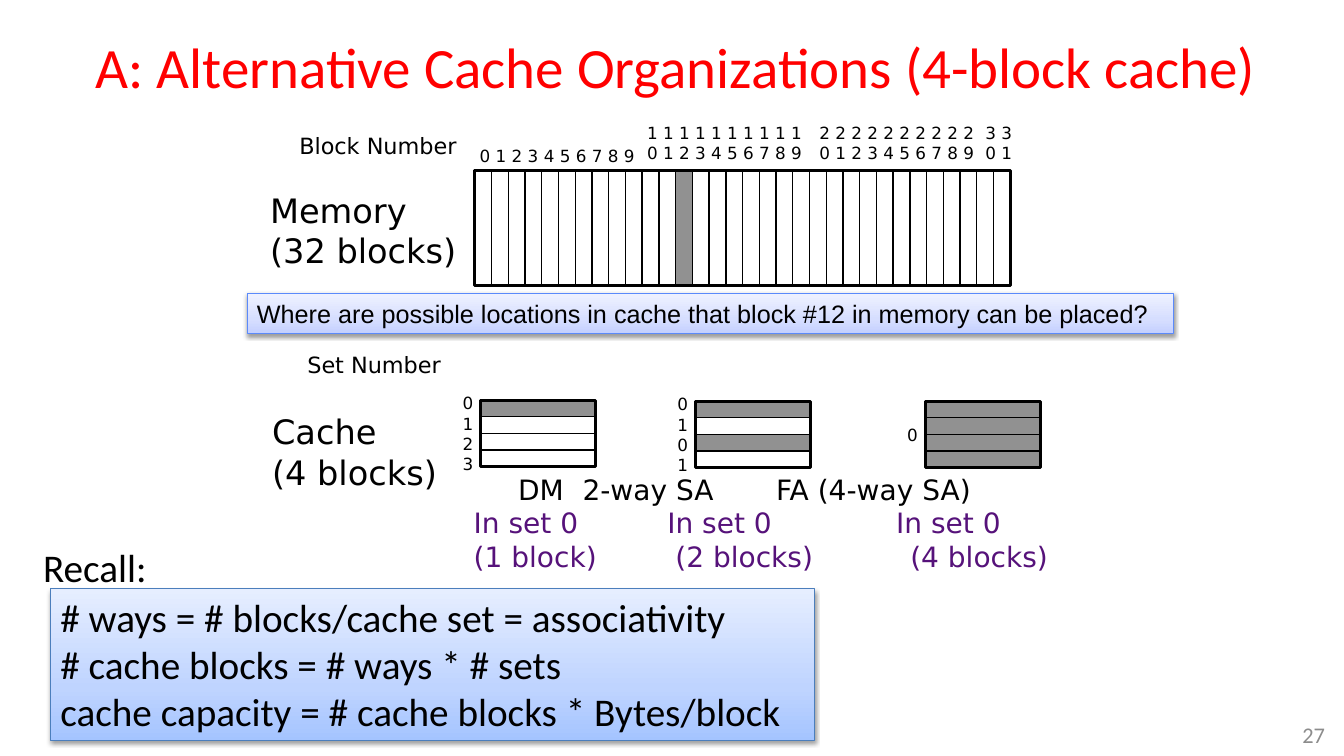
from dataclasses import dataclass

from lxml.etree import SubElement
from pptx import Presentation
from pptx.dml.color import RGBColor
from pptx.enum.shapes import MSO_CONNECTOR, MSO_SHAPE
from pptx.enum.text import MSO_ANCHOR, MSO_AUTO_SIZE, PP_ALIGN
from pptx.oxml.ns import qn
from pptx.shapes.autoshape import Shape
from pptx.slide import Slide
from pptx.text.text import TextFrame
from pptx.util import Inches, Pt

COLORS = {
    "title": "FF0000",
    "ink": "000000",
    "answer": "56127A",
    "candidate": "919191",
    "page": "8C8C8C",
    "question_line": "5B8AFB",
    "recall_line": "4B7EBC",
}
QUESTION_STOPS = ((0, "C4D0FF"), (35, "D6DEFF"), (100, "EFF2FF"))
RECALL_STOPS = ((0, "A4C4FF"), (35, "BFD4FF"), (100, "E6EEFF"))
DIAGRAM_FONT = "DejaVu Sans"


@dataclass(frozen=True)
class BlockGrid:
    left: float
    top: float
    width: float
    height: float
    blocks: int
    candidates: tuple[int, ...]
    columns: bool = False
    sets: str = ""


@dataclass(frozen=True)
class Label:
    box: tuple[float, float, float, float]
    lines: tuple[str, ...]
    size: float = 12
    align: PP_ALIGN = PP_ALIGN.LEFT
    wrap: bool = True
    color: str = "ink"
    font: str = DIAGRAM_FONT
    anchor: MSO_ANCHOR = MSO_ANCHOR.TOP


@dataclass(frozen=True)
class Caption:
    top: float
    text: str
    tabs: tuple[float, ...]
    color: str


@dataclass(frozen=True)
class Panel:
    box: tuple[float, float, float, float]
    lines: tuple[str, ...]
    stops: tuple[tuple[int, str], ...]
    outline: str
    size: float
    font: str


MEMORY = BlockGrid(4.71, 1.69, 5.31, 1.14, 32, (12,), columns=True)
CACHES = (
    BlockGrid(4.77, 3.97, 1.14, 0.66, 4, (0,), sets="0 1 2 3"),
    BlockGrid(6.9, 3.98, 1.14, 0.66, 4, (0, 2), sets="0 1 0 1"),
    BlockGrid(9.18, 3.98, 1.14, 0.66, 4, (0, 1, 2, 3), sets="0"),
)
LABELS = (
    Label((4.66, 1.4, 1.87, 0.3), ("0 1 2 3 4 5 6 7 8 9",)),
    Label((6.32, 1.17, 1.87, 0.5), ("1 1 1 1 1 1 1 1 1 1 0 1 2 3 4 5 6 7 8 9",)),
    Label((7.96, 1.17, 1.87, 0.5), ("2 2 2 2 2 2 2 2 2 2 0 1 2 3 4 5 6 7 8 9",),
          align=PP_ALIGN.CENTER),
    Label((9.46, 1.17, 0.89, 0.5), ("3 3", "0 1"), align=PP_ALIGN.CENTER),
    Label((2.87, 1.26, 1.78, 0.37), ("Block Number",), 16, wrap=False),
    Label((2.58, 1.83, 2.11, 0.91), ("Memory", "(32 blocks)"), 24, wrap=False),
    Label((2.95, 3.43, 1.55, 0.37), ("Set Number",), 16, wrap=False),
    Label((2.6, 4.03, 1.9, 0.91), ("Cache", "(4 blocks)"), 24, wrap=False),
    Label((0.33, 5.34, 1.24, 0.57), ("Recall:",), 28, wrap=False, font="Calibri"),
    Label((12.57, 7.08, 0.67, 0.42), ("27",), 16, PP_ALIGN.RIGHT,
          color="page", font="Calibri", anchor=MSO_ANCHOR.MIDDLE),
)
CAPTIONS = (
    Caption(4.64, "\tDM\t2-way SA\tFA (4-way SA)", (0.44, 1.08, 3.0), "ink"),
    Caption(4.97, "In set 0\tIn set 0\tIn set 0", (1.92, 4.19), "answer"),
    Caption(5.3, "(1 block)\t(2 blocks)\t(4 blocks)", (2.0, 4.33), "answer"),
)
PANELS = (
    Panel((2.45, 2.91, 9.19, 0.4),
          ("Where are possible locations in cache that block #12 in memory can be placed?",),
          QUESTION_STOPS, "question_line", 18, "Arial"),
    Panel((0.5, 5.84, 7.58, 1.51),
          ("# ways = # blocks/cache set = associativity",
           "# cache blocks = # ways * # sets",
           "cache capacity = # cache blocks * Bytes/block"),
          RECALL_STOPS, "recall_line", 28, "Calibri"),
)


def rgb(name: str) -> RGBColor:
    return RGBColor.from_string(COLORS[name])


def write_text(frame: TextFrame, *lines: str, size: float, font: str = DIAGRAM_FONT,
               color: str = "ink", align: PP_ALIGN = PP_ALIGN.LEFT, wrap: bool = True,
               anchor: MSO_ANCHOR = MSO_ANCHOR.TOP, tabs: tuple[float, ...] = ()) -> None:
    """Fill a frame with one paragraph per line; tabs are in inches from its text edge."""
    frame.auto_size = MSO_AUTO_SIZE.NONE
    frame.word_wrap = wrap
    frame.vertical_anchor = anchor
    for index, line in enumerate(lines):
        paragraph = frame.add_paragraph() if index else frame.paragraphs[0]
        paragraph.text = line
        paragraph.alignment = align
        if tabs:
            stops = SubElement(paragraph._p.get_or_add_pPr(), qn("a:tabLst"))
            for tab in tabs:
                SubElement(stops, qn("a:tab"), pos=str(Inches(tab)), algn="l")
        paragraph.font.size = Pt(size)
        paragraph.font.name = font
        paragraph.font.color.rgb = rgb(color)
        for run in paragraph.runs:
            run.font.size = Pt(size)
            run.font.name = font
            run.font.color.rgb = rgb(color)


def add_label(slide: Slide, label: Label) -> None:
    frame = slide.shapes.add_textbox(*map(Inches, label.box)).text_frame
    write_text(frame, *label.lines, size=label.size, font=label.font, color=label.color,
               align=label.align, wrap=label.wrap, anchor=label.anchor)


def add_rectangle(slide: Slide, *box: float) -> Shape:
    rectangle = slide.shapes.add_shape(MSO_SHAPE.RECTANGLE, *map(Inches, box))
    rectangle.shadow.inherit = False
    return rectangle


def add_grid(slide: Slide, grid: BlockGrid) -> None:
    """Draw shaded candidate blocks, the frame, dividers and any set numbers."""
    step = (grid.width if grid.columns else grid.height) / grid.blocks
    for block in grid.candidates:
        offset = block * step
        box = ((grid.left + offset, grid.top, step, grid.height) if grid.columns
               else (grid.left, grid.top + offset, grid.width, step))
        candidate = add_rectangle(slide, *box)
        candidate.fill.solid()
        candidate.fill.fore_color.rgb = rgb("candidate")
        candidate.line.fill.background()
    frame = add_rectangle(slide, grid.left, grid.top, grid.width, grid.height)
    frame.fill.background()
    frame.line.color.rgb = rgb("ink")
    frame.line.width = Pt(2)
    for block in range(1, grid.blocks):
        x, y = grid.left, grid.top
        if grid.columns:
            x += block * step
            ends = (x, y, x, y + grid.height)
        else:
            y += block * step
            ends = (x, y, x + grid.width, y)
        divider = slide.shapes.add_connector(MSO_CONNECTOR.STRAIGHT, *map(Inches, ends))
        divider.line.color.rgb = rgb("ink")
        divider.line.width = Pt(1)
        SubElement(divider._element.spPr, qn("a:effectLst"))
        if block * 2 == grid.blocks:
            divider.begin_connect(frame, 0 if grid.columns else 1)
            divider.end_connect(frame, 2 if grid.columns else 3)
    if grid.sets:
        middle = grid.top + grid.height / 2
        add_label(slide, Label((grid.left - 0.28, middle - 0.5, 0.34, 1), (grid.sets,),
                               anchor=MSO_ANCHOR.MIDDLE))


def add_panel(slide: Slide, panel: Panel) -> None:
    """Draw a text panel with a three-stop gradient and a soft shadow."""
    box = add_rectangle(slide, *panel.box)
    box.fill.gradient()
    box.fill.gradient_angle = 90
    stops = box._element.spPr.find(qn("a:gradFill")).find(qn("a:gsLst"))
    stops.clear()
    for percent, color in panel.stops:
        stop = SubElement(stops, qn("a:gs"), pos=str(percent * 1000))
        SubElement(stop, qn("a:srgbClr"), val=color)
    box.line.color.rgb = rgb(panel.outline)
    box.line.width = Pt(0.75)
    shadow = SubElement(box._element.spPr.find(qn("a:effectLst")), qn("a:outerShdw"),
                        blurRad=str(Pt(3.1)), dist=str(Pt(1.6)), dir="5400000", rotWithShape="0")
    tint = SubElement(shadow, qn("a:srgbClr"), val=COLORS["ink"])
    SubElement(tint, qn("a:alpha"), val="38000")
    write_text(box.text_frame, *panel.lines, size=panel.size, font=panel.font)


def main() -> None:
    deck = Presentation()
    deck.slide_width, deck.slide_height = Inches(13.33), Inches(7.5)
    slide = deck.slides.add_slide(deck.slide_layouts[5])
    title = slide.shapes.title
    title.left, title.top, title.width, title.height = map(Inches, (0.7, 0.03, 12, 1.25))
    write_text(title.text_frame, "A: Alternative Cache Organizations (4-block cache)",
               size=40.7, font="Calibri", color="title", align=PP_ALIGN.CENTER,
               anchor=MSO_ANCHOR.MIDDLE)
    for grid in (MEMORY, *CACHES):
        add_grid(slide, grid)
    for label in LABELS:
        add_label(slide, label)
    for caption in CAPTIONS:
        row = slide.shapes.add_textbox(*map(Inches, (4.6, caption.top, 6.27, 0.43)))
        write_text(row.text_frame, caption.text, size=20, color=caption.color, tabs=caption.tabs)
    for panel in PANELS:
        add_panel(slide, panel)
    deck.save("out.pptx")


if __name__ == "__main__":
    main()
